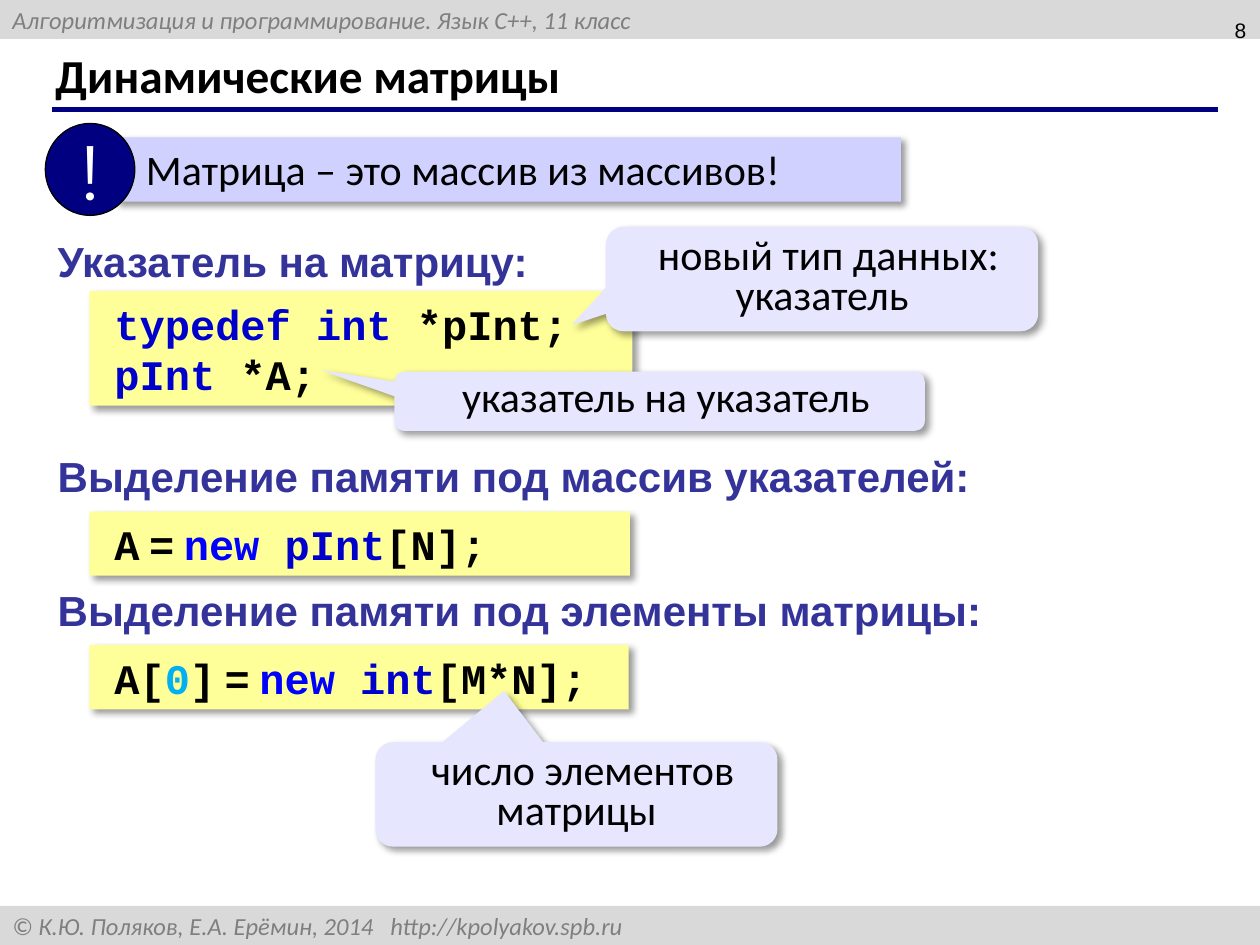
from lxml import etree
from pptx import Presentation
from pptx.dml.color import RGBColor
from pptx.enum.shapes import MSO_CONNECTOR, MSO_SHAPE as SHAPE
from pptx.enum.text import MSO_ANCHOR as ANCHOR, MSO_AUTO_SIZE, PP_ALIGN as ALIGN
from pptx.oxml import parse_xml
from pptx.oxml.ns import nsdecls, qn
from pptx.util import Inches, Pt

THEME = {
    "black": "000000", "white": "FFFFFF", "navy": "000080", "bar": "D9D9D9",
    "bar_text": "7F7F7F", "heading": "333399", "code": "FFFF99",
    "note": "D1D1FF", "callout": "E6E6FF", "type": "0000CC",
    "keyword": "0000FF", "number": "00B0F0",
    "sans": "Calibri", "head": "Arial", "mono": "Courier New", "mark": "Montserrat",
    "body": 24, "title": 27, "bar_size": 14, "page": 12, "mark_size": 44,
}
SHADOW = (f'<a:effectLst {nsdecls("a")}><a:outerShdw blurRad="50800" dist="38100" '
          'dir="2700000" algn="tl" rotWithShape="0"><a:srgbClr val="000000">'
          '<a:alpha val="40000"/></a:srgbClr></a:outerShdw></a:effectLst>')


def add_box(kind, rect, fill, shadow=True):
    """Add a filled preset shape without outline, optionally with a soft shadow."""
    box = slide.shapes.add_shape(kind, *map(Inches, rect))
    box.fill.solid()
    box.fill.fore_color.rgb = RGBColor.from_string(THEME[fill])
    box.line.fill.background()
    box.shadow.inherit = False
    if shadow:
        properties = box._element.spPr
        properties.replace(properties.find(qn("a:effectLst")), parse_xml(SHADOW))
    return box


def write(shape, lines, font="sans", size="body", color="black", bold=False,
          italic=False, align=ALIGN.LEFT, anchor=ANCHOR.TOP, indent=(0, 0),
          spacing=None, wrap=True):
    """Fill a shape with lines; a line is a list of (text, colour[, font]) runs or a string."""
    frame = shape.text_frame
    frame.word_wrap = wrap
    frame.auto_size = MSO_AUTO_SIZE.NONE
    frame.vertical_anchor = anchor
    for number, line in enumerate(lines):
        paragraph = frame.add_paragraph() if number else frame.paragraphs[0]
        paragraph.alignment = align
        if spacing:
            paragraph.line_spacing = spacing
        left, first = indent
        props = paragraph._p.get_or_add_pPr()
        props.set("marL", str(Inches(left)))
        props.set("indent", str(Inches(first)))
        paragraph.font.name = THEME[font]
        paragraph.font.size = Pt(THEME[size])
        paragraph.font.bold = bold
        paragraph.font.italic = italic
        for text, run_color, *run_font in [(line, color)] if isinstance(line, str) else line:
            run = paragraph.add_run()
            run.text = text
            run.font.color.rgb = RGBColor.from_string(THEME[run_color])
            if run_font:
                run.font.name = THEME[run_font[0]]


deck = Presentation()
deck.slide_width, deck.slide_height = Inches(10), Inches(7.5)
slide = deck.slides.add_slide(deck.slide_layouts[5])

# Header and footer bars
bar_texts = [(0, "Алгоритмизация и программирование. Язык C++, 11 класс"),
             (7.19, "© К.Ю. Поляков, Е.А. Ерёмин, 2014\thttp://kpolyakov.spb.ru")]
for top, text in bar_texts:
    bar = add_box(SHAPE.RECTANGLE, (0, top, 10, 0.31), "bar", shadow=False)
    write(bar, [text], size="bar_size", color="bar_text", italic=True, anchor=ANCHOR.MIDDLE)
    tabs = etree.Element(qn("a:tabLst"))
    etree.SubElement(tabs, qn("a:tab"), pos=str(Inches(9.61)), algn="r")
    bar.text_frame.paragraphs[0]._p.pPr.insert(0, tabs)

# Title, rule and page number
rule = slide.shapes.add_connector(MSO_CONNECTOR.STRAIGHT, Inches(0.41), Inches(0.87),
                                  Inches(9.67), Inches(0.87))
rule.line.color.rgb = RGBColor.from_string(THEME["navy"])
rule.line.width = Pt(3)
etree.SubElement(rule._element.spPr, qn("a:effectLst"))

title = slide.shapes.title
title.left, title.top, title.width, title.height = map(Inches, (0.34, 0.33, 9.16, 0.52))
write(title, ["Динамические матрицы"], size="title", bold=True, anchor=ANCHOR.MIDDLE)

page = slide.shapes.add_textbox(*map(Inches, (7.66, -0.02, 2.33, 0.52)))
write(page, ["8"], font="head", size="page", align=ALIGN.RIGHT, anchor=ANCHOR.MIDDLE)

# Headings, each with its code block
equals = [(" ", "black", "sans"), ("=", "black"), (" ", "black", "sans")]
sections = [
    (1.82, 3.97, "Указатель на матрицу:", (2.31, 4.31, 0.91),
     [[("typedef int ", "type"), ("*pInt;", "black")],
      [("pInt", "type"), (" *A;", "black")]]),
    (3.53, 7.51, "Выделение памяти под массив указателей:", (4.06, 4.29, 0.51),
     [[("A", "black"), *equals, ("new ", "keyword"), ("pInt", "type"), ("[N];", "black")]]),
    (4.59, 7.6, "Выделение памяти под элементы матрицы:", (5.12, 4.28, 0.51),
     [[("A[", "black"), ("0", "number"), ("]", "black"), *equals,
       ("new ", "keyword"), ("int", "type"), ("[M*N];", "black")]]),
]
for top, width, text, (code_top, code_width, code_height), code in sections:
    heading = slide.shapes.add_textbox(*map(Inches, (0.36, top, width, 0.51)))
    write(heading, [text], font="head", color="heading", bold=True, wrap=False)
    listing = add_box(SHAPE.RECTANGLE, (0.71, code_top, code_width, code_height), "code")
    write(listing, code, font="mono", bold=True, align=ALIGN.JUSTIFY,
          anchor=ANCHOR.MIDDLE, indent=(0.2, -0.1))

# Key statement with its exclamation badge
note = add_box(SHAPE.RECTANGLE, (0.91, 1.09, 6.24, 0.51), "note")
write(note, ["Матрица – это массив из массивов!"], indent=(0.15, 0))
badge = add_box(SHAPE.OVAL, (0.36, 0.98, 0.71, 0.73), "navy", shadow=False)
badge.line.color.rgb = RGBColor.from_string(THEME["black"])
badge.line.width = Pt(0.75)
write(badge, ["!"], font="mark", size="mark_size", color="white",
      align=ALIGN.CENTER, anchor=ANCHOR.MIDDLE, wrap=False)

# Callouts: place, pointer tip, text
callouts = [
    ((3.13, 2.95, 4.21, 0.47), (-0.64, -0.53), "указатель на указатель"),
    ((2.98, 5.89, 3.19, 0.83), (-0.18, -0.99), "число элементов матрицы"),
    ((4.81, 1.8, 3.43, 0.83), (-0.58, 0.44), "новый тип данных: указатель"),
]
for rect, tip, text in callouts:
    callout = add_box(SHAPE.ROUNDED_RECTANGULAR_CALLOUT, rect, "callout")
    callout.adjustments[0], callout.adjustments[1] = tip
    write(callout, [text], align=ALIGN.CENTER, indent=(0, 0.1), spacing=0.8)

deck.save("out.pptx")
